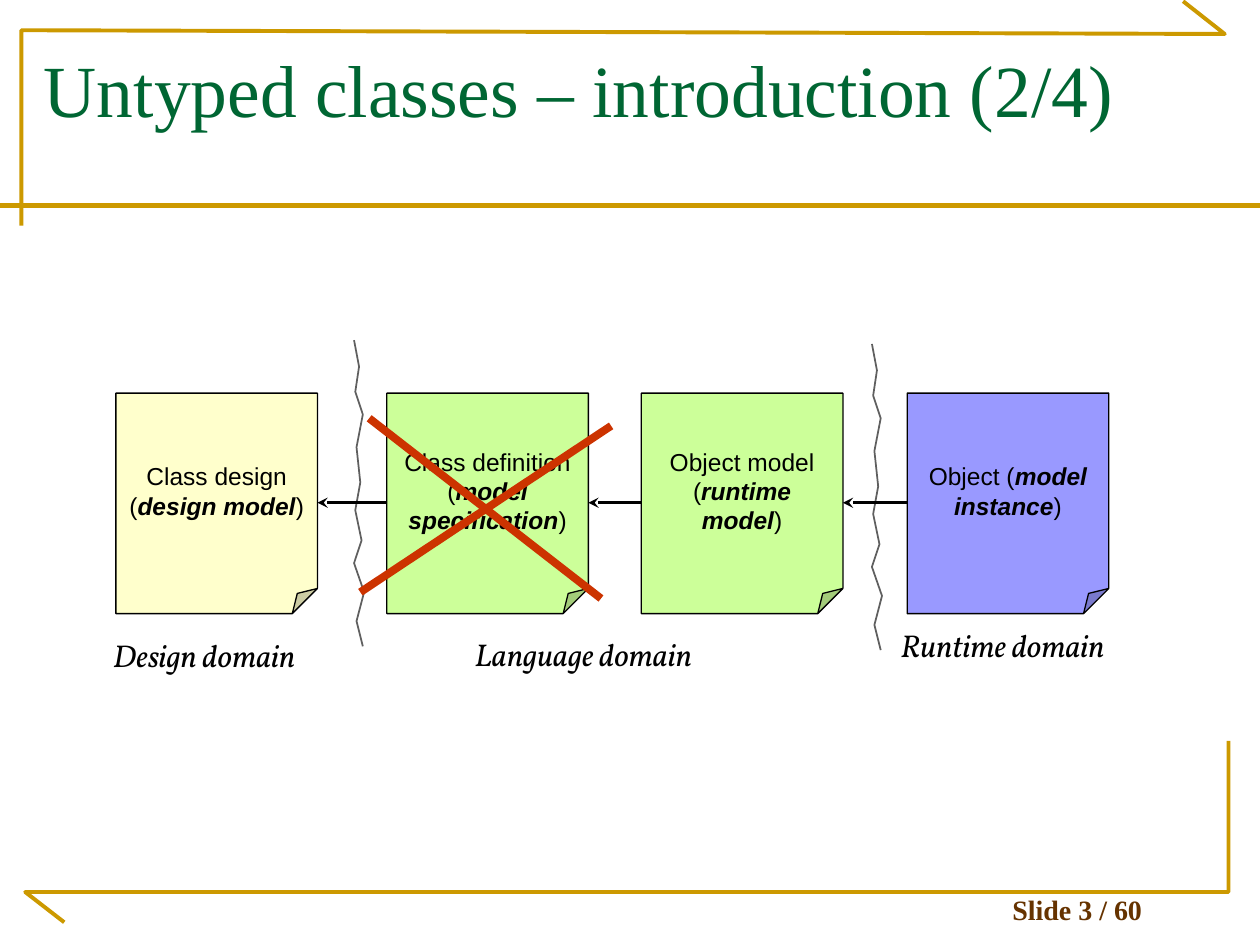
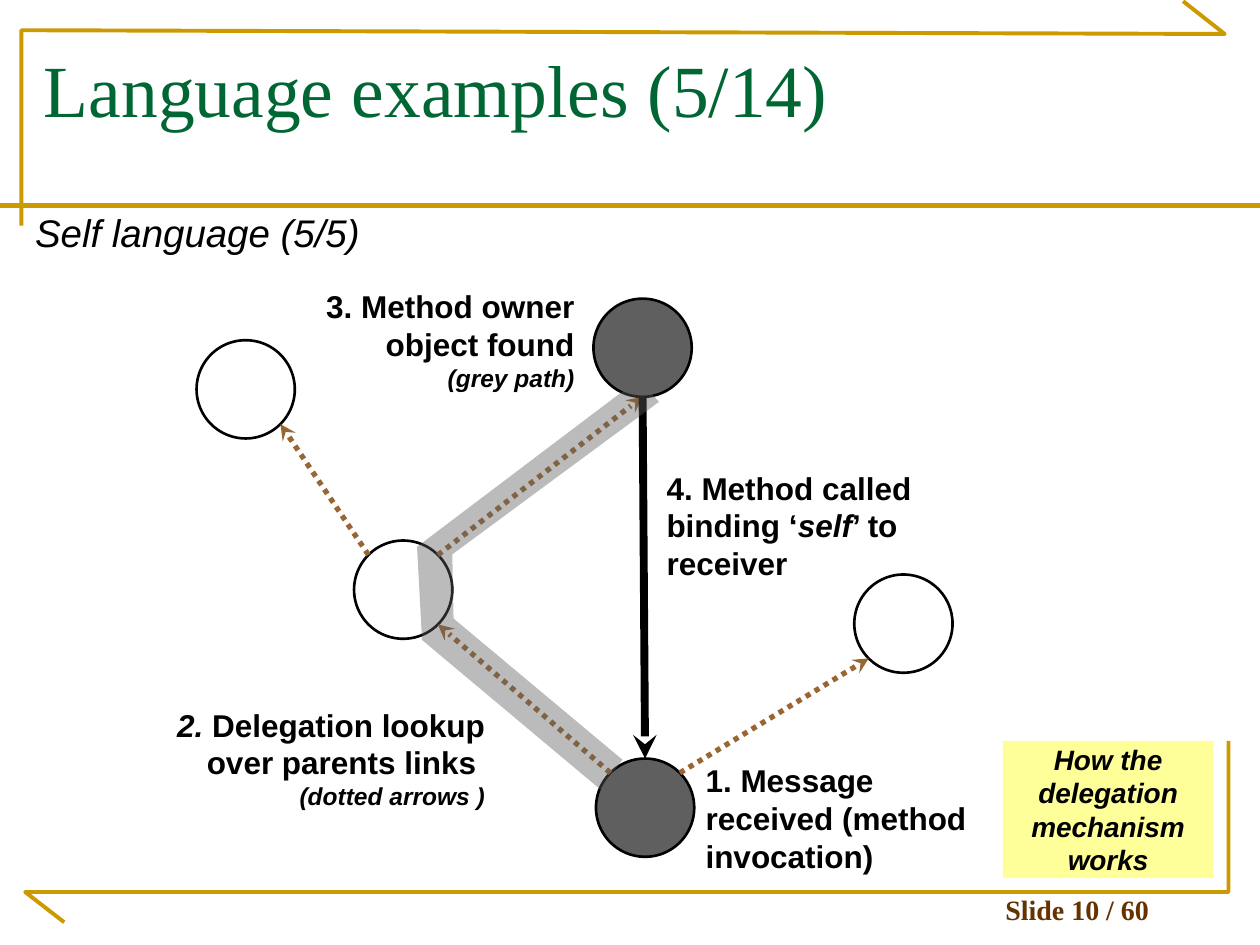
from dataclasses import dataclass
from math import cos, radians, sin

from lxml.etree import SubElement
from pptx import Presentation
from pptx.dml.color import RGBColor
from pptx.enum.dml import MSO_LINE
from pptx.enum.shapes import MSO_CONNECTOR, MSO_SHAPE
from pptx.enum.text import MSO_ANCHOR, PP_ALIGN
from pptx.oxml.ns import qn
from pptx.util import Inches, Pt


@dataclass(frozen=True)
class Theme:
    """Colours, fonts and type sizes shared by the slides."""
    gold: str = "CC9900"
    title_green: str = "006633"
    footer_brown: str = "663300"
    link_brown: str = "996633"
    black: str = "000000"
    white: str = "FFFFFF"
    grey: str = "5F5F5F"
    red: str = "CC3300"
    cream: str = "FFFFCC"
    green: str = "CCFF99"
    violet: str = "9999FF"
    yellow: str = "FFFF99"
    serif: str = "Times New Roman"
    sans: str = "Arial"
    caption: str = "Vollkorn"
    title_size: int = 42
    subtitle_size: int = 22
    label_size: int = 18
    footer_size: int = 16
    small_size: int = 14


@dataclass(frozen=True)
class Box:
    """A region of the slide, in inches."""
    left: float
    top: float
    width: float
    height: float

    def inner(self, left, top, width, height):
        """Return a box placed relative to this one."""
        return Box(self.left + left, self.top + top, width, height)

    def point(self, x, y):
        """Return a slide point from an offset in this box."""
        return self.left + x, self.top + y

    def lengths(self):
        """Return left, top, width and height as lengths."""
        return [Inches(value) for value in (self.left, self.top, self.width, self.height)]

    def rim(self, angle):
        """Return the point at an angle, clockwise from the right, on the inscribed ellipse."""
        turn = radians(angle)
        return self.point(self.width / 2 * (1 + cos(turn)), self.height / 2 * (1 + sin(turn)))


THEME = Theme()
PAGE = Box(0, 0, 10, 7.5)
PAGE_COUNT = 60
TEXT_INSETS = (0.1, 0.05)


def paint(color_format, color):
    """Give a fill or line a solid colour."""
    color_format.fill.solid()
    color_format.fill.fore_color.rgb = RGBColor.from_string(color)


def style_shape(shape, fill=None, line=None, weight=1.0):
    """Set the fill and outline of a shape and remove its shadow."""
    shape.shadow.inherit = False
    if fill:
        paint(shape, fill)
    else:
        shape.fill.background()
    if line:
        paint(shape.line, line)
        shape.line.width = Pt(weight)
    else:
        shape.line.fill.background()


def write(shape, paragraphs, size, font=THEME.sans, color=THEME.black,
          align=PP_ALIGN.LEFT, anchor=MSO_ANCHOR.TOP, insets=TEXT_INSETS):
    """Fill a shape with paragraphs of (text, style) runs, where style holds b and i."""
    frame = shape.text_frame
    frame.word_wrap = True
    frame.vertical_anchor = anchor
    frame.margin_left = frame.margin_right = Inches(insets[0])
    frame.margin_top = frame.margin_bottom = Inches(insets[1])
    for index, runs in enumerate(paragraphs):
        paragraph = frame.add_paragraph() if index else frame.paragraphs[0]
        paragraph.alignment = align
        for text, style in runs:
            run = paragraph.add_run()
            run.text = text
            run.font.name = font
            run.font.size = Pt(size)
            run.font.bold = "b" in style
            run.font.italic = "i" in style
            run.font.color.rgb = RGBColor.from_string(color)


def add_text(slide, box, paragraphs, size, **options):
    """Add a text box and return it."""
    shape = slide.shapes.add_textbox(*box.lengths())
    write(shape, paragraphs, size, **options)
    return shape


def add_line(slide, start, end, color, weight, arrow=False, dash=None):
    """Add a straight connector, with an arrowhead at its end if asked."""
    ends = [Inches(value) for value in (*start, *end)]
    connector = slide.shapes.add_connector(MSO_CONNECTOR.STRAIGHT, *ends)
    paint(connector.line, color)
    connector.line.width = Pt(weight)
    if dash:
        connector.line.dash_style = dash
    properties = connector.element.spPr
    if arrow:
        SubElement(properties.find(qn("a:ln")), qn("a:tailEnd"), type="stealth")
    SubElement(properties, qn("a:effectLst"))


def add_outline(slide, box, offsets, close=False, **style):
    """Add a freeform through offsets measured in a box."""
    points = [tuple(Inches(value) for value in box.point(*offset)) for offset in offsets]
    builder = slide.shapes.build_freeform(*points[0])
    builder.add_line_segments(points[1:], close=close)
    shape = builder.convert_to_shape()
    style_shape(shape, **style)
    return shape


def add_frame(slide, box, number):
    """Add the gold frame, title rule and slide counter."""
    corners = (
        [(0.17, 1.79), (0.17, 0.24), (9.72, 0.27), (9.39, 0.01)],
        [(0.51, 7.32), (0.2, 7.08), (9.75, 7.08), (9.75, 5.88)],
    )
    for offsets in corners:
        add_outline(slide, box, offsets, line=THEME.gold, weight=2.25)
    add_line(slide, box.point(0, 1.63), box.point(box.width, 1.63), THEME.gold, 3)
    add_text(slide, box.inner(7.37, 7.07, 2.36, 0.33),
             [[(f"Slide {number} / {PAGE_COUNT}", "b")]], THEME.footer_size,
             font=THEME.serif, color=THEME.footer_brown,
             align=PP_ALIGN.CENTER, anchor=MSO_ANCHOR.BOTTOM)


def add_framed_slide(presentation, title, number):
    """Add a blank slide with the shared frame and title."""
    slide = presentation.slides.add_slide(presentation.slide_layouts[6])
    add_frame(slide, PAGE, number)
    add_text(slide, PAGE.inner(0.25, 0.3, 9.42, 1.25), [[(title, "")]],
             THEME.title_size, font=THEME.serif, color=THEME.title_green)
    return slide


def add_note(slide, box, lead, model, fill):
    """Add a folded note naming a stage and its kind of model."""
    note = slide.shapes.add_shape(MSO_SHAPE.FOLDED_CORNER, *box.lengths())
    style_shape(note, fill, THEME.black, 0.75)
    fold = note.element.spPr.find(qn("a:prstGeom")).find(qn("a:avLst"))
    SubElement(fold, qn("a:gd"), name="adj", fmla="val 12500")
    write(note, [[(f"{lead} (", ""), (model, "bi"), (")", "")]], THEME.small_size,
          align=PP_ALIGN.CENTER, anchor=MSO_ANCHOR.MIDDLE)


def add_rift(slide, box):
    """Add the jagged border between two domains."""
    offsets = [(0, 0), (0.04, 0.21), (0.01, 0.41), (0.07, 0.59), (0.02, 0.85), (0.05, 1.13),
               (0.01, 1.35), (0.06, 1.59), (0, 1.77), (0.08, 2), (0.02, 2.23), (0.07, 2.43)]
    add_outline(slide, box, offsets, line=THEME.grey, weight=1)


def add_domain_chain(slide, box):
    """Add the chain of notes from design to runtime, with the struck-out stage."""
    stages = (
        (0.12, "Class design", "design model", THEME.cream),
        (2.27, "Class definition", "model specification", THEME.green),
        (4.29, "Object model", "runtime model", THEME.green),
        (6.4, "Object", "model instance", THEME.violet),
    )
    notes = [box.inner(left, 0.42, 1.6, 1.75) for left, *_ in stages]
    for note, (_, lead, model, fill) in zip(notes, stages):
        add_note(slide, note, lead, model, fill)
    for left, top in ((2.01, 0), (6.12, 0.03)):
        add_rift(slide, box.inner(left, top, 0.08, 2.43))
    domains = (("Design domain", 0, 2.3, 1.93), ("Language domain", 2.87, 2.29, 2.29),
               ("Runtime domain", 6.25, 2.22, 2.13))
    for name, left, top, width in domains:
        add_text(slide, box.inner(left, top, width, 0.4), [[(name, "i")]],
                 THEME.label_size, font=THEME.caption)
    for target, source in zip(notes, notes[1:]):
        add_line(slide, source.point(0, 0.87), target.point(target.width, 0.87),
                 THEME.black, 1.5, arrow=True)
    struck = notes[1]
    for start, end in (((-0.14, 0.2), (1.7, 1.63)), ((1.78, 0.26), (-0.21, 1.58))):
        add_line(slide, struck.point(*start), struck.point(*end), THEME.red, 4.5)


def add_object(slide, box, fill):
    """Add a circle that stands for an object and return its box."""
    circle = slide.shapes.add_shape(MSO_SHAPE.OVAL, *box.lengths())
    style_shape(circle, fill, THEME.black, 1.5)
    return box


def add_step(slide, box, runs, remark=None, align=PP_ALIGN.LEFT):
    """Add the label of one delegation step, with a small remark below."""
    paragraphs = [runs] + ([[(remark, "bi")]] if remark else [])
    label = add_text(slide, box, paragraphs, THEME.label_size, align=align, insets=(0, 0))
    if remark:
        label.text_frame.paragraphs[-1].runs[0].font.size = Pt(THEME.small_size)


def add_lookup_path(slide, box):
    """Add the translucent grey path followed by the lookup."""
    offsets = [(0, 1.33), (0.04, 2.07), (1.46, 3.26), (1.63, 3.02),
               (0.29, 1.9), (0.28, 1.39), (1.92, 0.18), (1.76, 0)]
    band = add_outline(slide, box, offsets, close=True, fill=THEME.grey)
    color = band.element.spPr.find(qn("a:solidFill")).find(qn("a:srgbClr"))
    SubElement(color, qn("a:alpha"), val="42000")


def add_delegation(slide, box):
    """Add the object graph with its parent links, call and steps."""
    places = {
        "owner": (3.38, 0.09, THEME.grey), "parent": (1.48, 2.01, THEME.white),
        "ancestor": (0.23, 0.42, THEME.white), "receiver": (3.4, 3.74, THEME.grey),
        "other": (5.45, 2.28, THEME.white),
    }
    objects = {name: add_object(slide, box.inner(left, top, 0.78, 0.78), fill)
               for name, (left, top, fill) in places.items()}
    parent_links = (("parent", 225, "ancestor", 45), ("parent", 315, "owner", 90),
                    ("receiver", 225, "parent", 45), ("receiver", 315, "other", 135))
    for child, leave, target, arrive in parent_links:
        add_line(slide, objects[child].rim(leave), objects[target].rim(arrive),
                 THEME.link_brown, 3, arrow=True, dash=MSO_LINE.ROUND_DOT)
    add_line(slide, objects["owner"].rim(90), objects["receiver"].rim(270),
             THEME.black, 4.5, arrow=True)
    add_step(slide, box.inner(1.08, 0, 2.15, 0.83),
             [("3. Method owner object found", "b")], "(grey path)", PP_ALIGN.RIGHT)
    add_step(slide, box.inner(3.96, 1.44, 2.22, 0.9),
             [("4. Method called binding ‘", "b"), ("self", "bi"), ("’ to receiver", "b")])
    add_step(slide, box.inner(0, 3.32, 2.52, 0.83),
             [("2. ", "bi"), ("Delegation lookup over parents links ", "b")],
             "(dotted arrows )", PP_ALIGN.RIGHT)
    add_step(slide, box.inner(4.27, 3.76, 2.27, 0.9),
             [("1. Message received (method invocation)", "b")])
    add_lookup_path(slide, box.inner(1.98, 0.73, 1.92, 3.27))


def add_subtitle(slide, box, text):
    """Add the italic line below the title rule."""
    subtitle = add_text(slide, box, [[(text, "i")]], THEME.subtitle_size)
    paragraph = subtitle.text_frame.paragraphs[0]
    paragraph.line_spacing = 0.9
    paragraph.space_before = Pt(5.5)


def add_callout(slide, box, text):
    """Add the yellow summary panel."""
    panel = slide.shapes.add_shape(MSO_SHAPE.RECTANGLE, *box.lengths())
    style_shape(panel, THEME.yellow)
    write(panel, [[(text, "bi")]], THEME.footer_size,
          align=PP_ALIGN.CENTER, insets=(0.02, 0.01))


def main():
    """Build and save the presentation."""
    presentation = Presentation()
    presentation.slide_width = Inches(PAGE.width)
    presentation.slide_height = Inches(PAGE.height)

    slide = add_framed_slide(presentation, "Untyped classes – introduction (2/4)", 3)
    add_domain_chain(slide, PAGE.inner(0.8, 2.7, 8.38, 2.7))

    slide = add_framed_slide(presentation, "Language examples (5/14)", 10)
    add_delegation(slide, PAGE.inner(1.33, 2.28, 6.54, 4.66))
    add_subtitle(slide, PAGE.inner(0.18, 1.65, 2.85, 0.43), "Self language (5/5)")
    add_callout(slide, PAGE.inner(7.96, 5.88, 1.67, 1.09), "How the delegation mechanism works")

    presentation.save("out.pptx")


if __name__ == "__main__":
    main()
